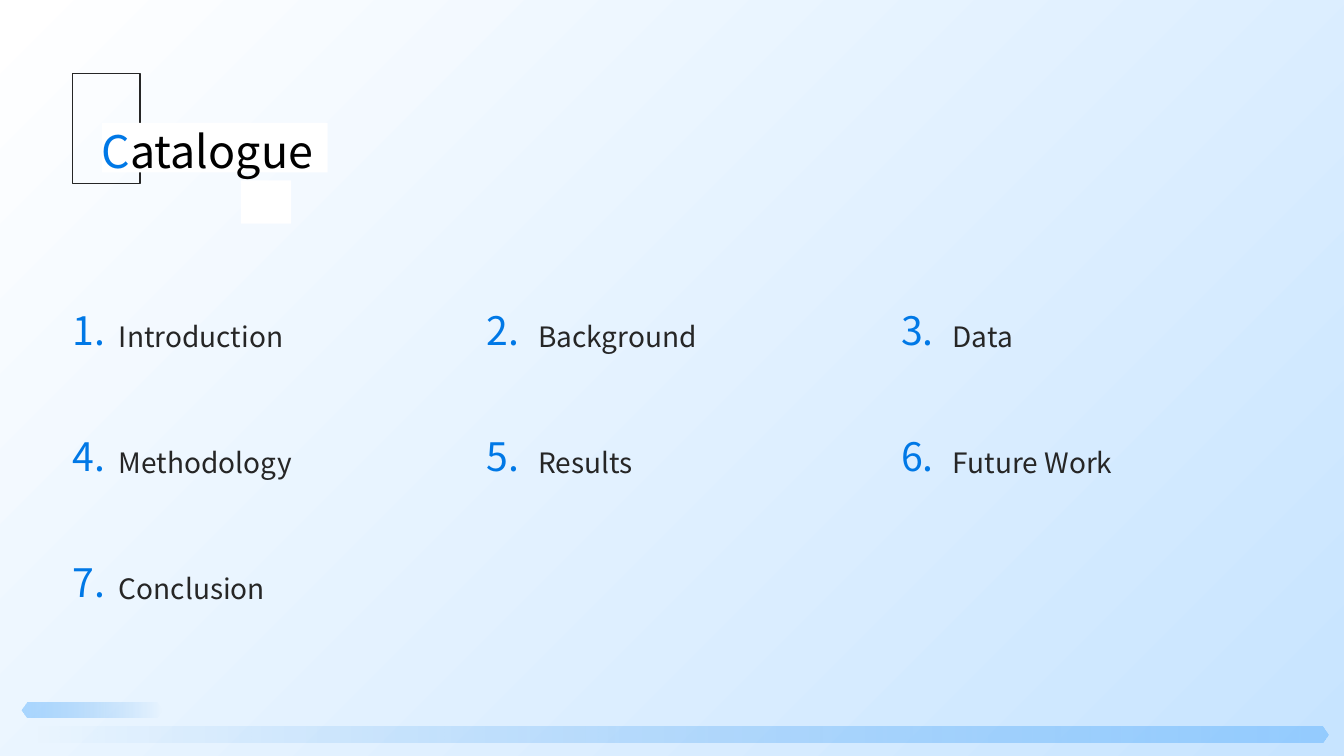
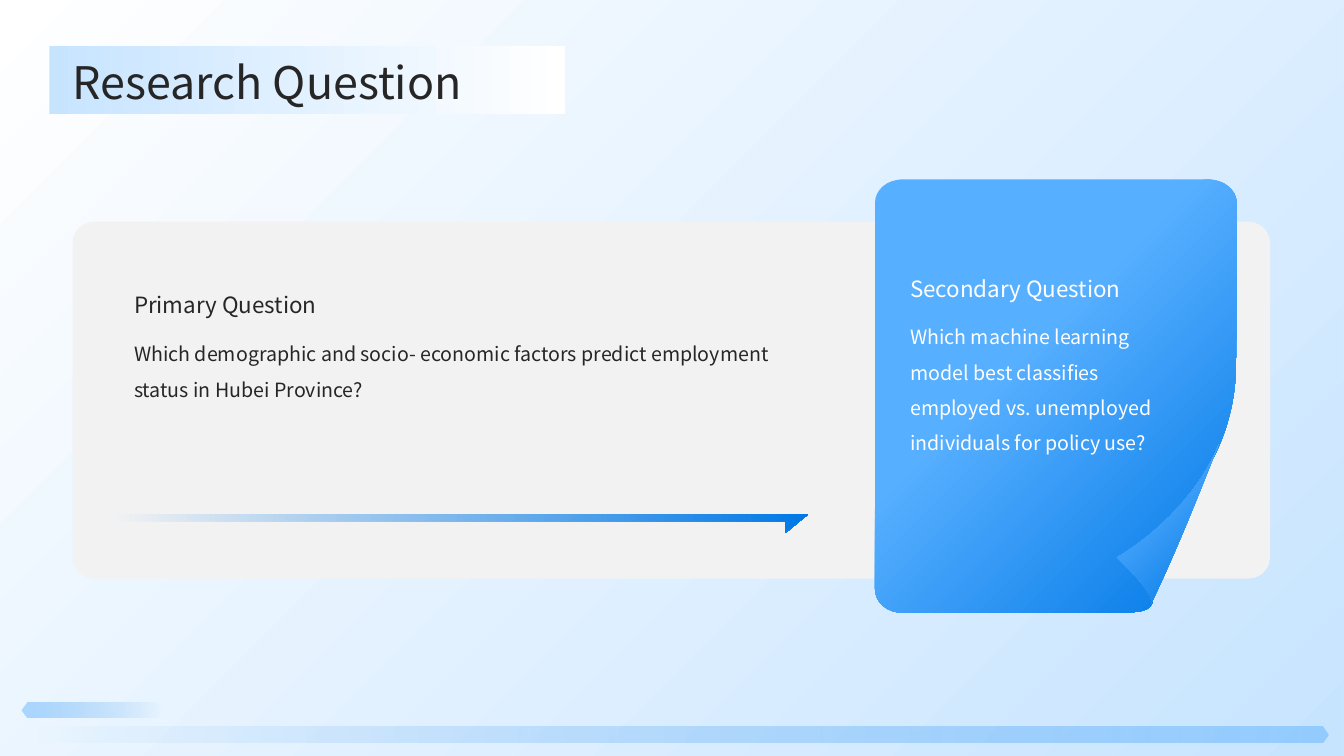
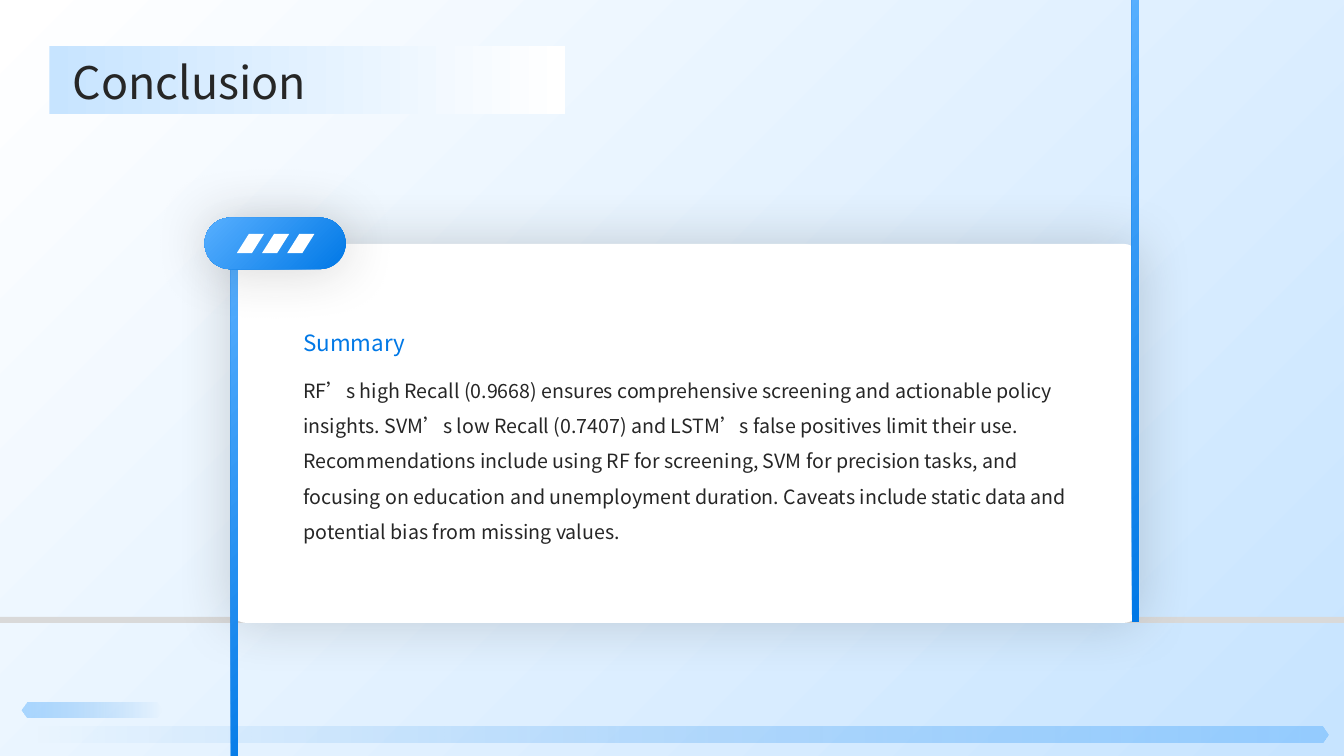
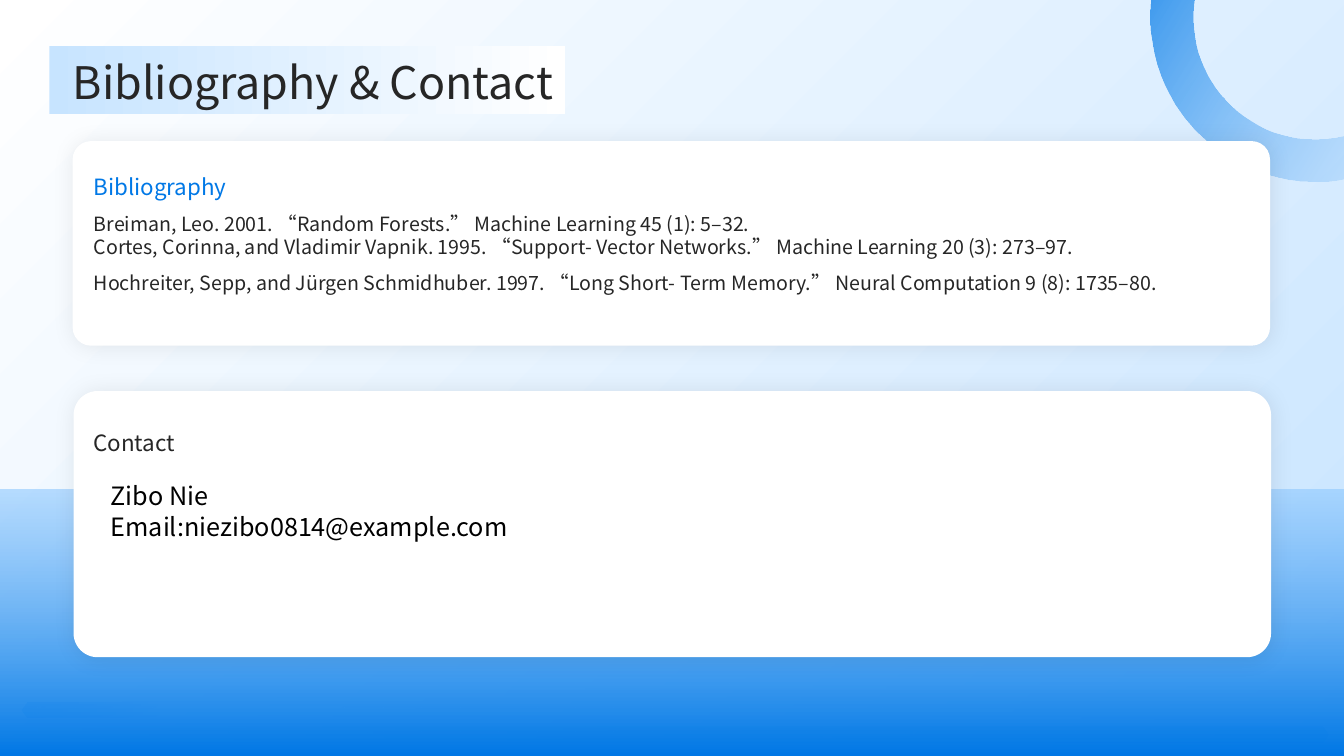
from pptx import Presentation
from pptx.dml.color import RGBColor
from pptx.enum.shapes import MSO_SHAPE
from pptx.enum.text import MSO_ANCHOR, MSO_AUTO_SIZE, PP_ALIGN
from pptx.oxml import parse_xml
from pptx.oxml.ns import nsdecls, qn
from pptx.util import Inches, Pt

PX = 9144
FONT = "Noto Sans CJK SC"
WHITE = RGBColor(0xFF, 0xFF, 0xFF)
BLACK = RGBColor(0x00, 0x00, 0x00)
INK = RGBColor(0x26, 0x26, 0x26)
BLUE = RGBColor(0x00, 0x78, 0xE6)
SKY = RGBColor(0x57, 0xAF, 0xFF)
LIGHT = RGBColor(0x8F, 0xC9, 0xFF)
PALE = RGBColor(0xC7, 0xE4, 0xFF)
PANEL = RGBColor(0xF2, 0xF2, 0xF2)
RULE = RGBColor(0xD9, 0xD9, 0xD9)
TITLE_ONLY, TITLE_AND_BODY = 5, 1


def emu(*lengths):
    """Turn px lengths into EMU."""
    return [n * PX for n in lengths]


def color_xml(color, alpha):
    """Return a colour element with its opacity in percent."""
    return f'<a:srgbClr val="{color}"><a:alpha val="{alpha * 1000}"/></a:srgbClr>'


def gradient(angle, *stops):
    """Return a linear gradient; each stop is (position, colour, opacity)."""
    gs = "".join(f'<a:gs pos="{pos * 1000}">{color_xml(color, alpha)}</a:gs>'
                 for pos, color, alpha in stops)
    return (f'<a:gradFill {nsdecls("a")} rotWithShape="1"><a:gsLst>{gs}</a:gsLst>'
            f'<a:lin ang="{angle * 60000}" scaled="0"/></a:gradFill>')


def write(tf, *paragraphs, size=14, color=INK, spacing=1.0, anchor=MSO_ANCHOR.TOP,
          inset=(0, 0), grow=False):
    """Fill a text frame; a paragraph is a string or a list of (text, colour)."""
    tf.word_wrap = True
    tf.auto_size = MSO_AUTO_SIZE.SHAPE_TO_FIT_TEXT if grow else MSO_AUTO_SIZE.NONE
    tf.vertical_anchor = anchor
    tf.margin_left = tf.margin_right = inset[0] * PX
    tf.margin_top = tf.margin_bottom = inset[1] * PX
    for i, runs in enumerate(paragraphs):
        p = tf.add_paragraph() if i else tf.paragraphs[0]
        p.alignment = PP_ALIGN.LEFT
        p.line_spacing = spacing[i] if isinstance(spacing, tuple) else spacing
        p.space_before = Pt(0)
        for text, run_color in [(runs, color)] if isinstance(runs, str) else runs:
            r = p.add_run()
            r.text = text
            r.font.size = Pt(size)
            r.font.name = FONT
            r.font.color.rgb = run_color
            r.font.bold = False
            r.font._element.append(parse_xml(f'<a:ea {nsdecls("a")} typeface="{FONT}"/>'))


class Deck:
    """Hold the presentation, its style and the current slide."""

    def __init__(self):
        """Start an empty widescreen presentation."""
        self.prs = Presentation()
        self.prs.slide_width, self.prs.slide_height = Inches(40) // 3, Inches(7.5)
        self.s = None

    def slide(self, layout=TITLE_AND_BODY):
        """Add a slide with the shared backdrop and footer bars."""
        self.s = self.prs.slides.add_slide(self.prs.slide_layouts[layout])
        self.shape(0, 0, 1333, 750, gradient(45, (0, WHITE, 100), (100, PALE, 100)))
        for x, y, w, h, angle in ((21, 721, 1297, 16, 0), (21, 697, 140, 15, 180)):
            self.shape(x, y, w, h, gradient(angle, (0, BLUE, 0), (100, SKY, 46)),
                       MSO_SHAPE.HEXAGON, adj=0.38)

    def paint(self, sp, fill=None, line=None, shadow=None):
        """Set fill, outline and shadow of a shape."""
        sp.shadow.inherit = False
        sp.fill.background()
        if isinstance(fill, RGBColor):
            sp.fill.solid()
            sp.fill.fore_color.rgb = fill
        elif fill:
            spPr = sp.element.spPr
            spPr.replace(spPr.find(qn("a:noFill")), parse_xml(fill))
        if line:
            sp.line.color.rgb = line
            sp.line.width = Pt(1)
        else:
            sp.line.fill.background()
        if shadow:
            color, alpha, blur = shadow
            sp.element.spPr.find(qn("a:effectLst")).append(parse_xml(
                f'<a:outerShdw {nsdecls("a")} blurRad="{Pt(blur)}" dist="0" dir="0" '
                f'algn="ctr" rotWithShape="0">{color_xml(color, alpha)}</a:outerShdw>'))

    def shape(self, x, y, w, h, fill=None, kind=MSO_SHAPE.RECTANGLE, adj=None,
              rotation=0, line=None, shadow=None):
        """Add a preset shape."""
        sp = self.s.shapes.add_shape(kind, *emu(x, y, w, h))
        if adj is not None:
            sp.adjustments[0] = adj
        sp.rotation = rotation
        self.paint(sp, fill, line, shadow)

    def freeform(self, fill, *outlines):
        """Add closed outlines; a step is a line (2 numbers) or a curve (6)."""
        builder = self.s.shapes.build_freeform(*emu(*outlines[0][0]))
        for i, (start, *steps) in enumerate(outlines):
            if i:
                builder.move_to(*emu(*start))
            builder.add_line_segments([emu(*step[-2:]) for step in steps], close=True)
        sp = builder.convert_to_shape()
        steps = [step for contour in outlines for step in contour[1:]]
        for line_to, step in zip(list(sp.element.iter(qn("a:lnTo"))), steps):
            if len(step) == 6:
                points = "".join(f'<a:pt x="{x * PX - sp.left}" y="{y * PX - sp.top}"/>'
                                 for x, y in zip(step[::2], step[1::2]))
                line_to.getparent().replace(line_to, parse_xml(
                    f'<a:cubicBezTo {nsdecls("a")}>{points}</a:cubicBezTo>'))
        self.paint(sp, fill)

    def text(self, x, y, w, h, *paragraphs, **fmt):
        """Add a text box."""
        write(self.s.shapes.add_textbox(*emu(x, y, w, h)).text_frame, *paragraphs, **fmt)

    def place(self, sp, x, y, w, h):
        """Move a placeholder to its box, in front of what is drawn so far."""
        sp.left, sp.top, sp.width, sp.height = emu(x, y, w, h)
        sp.element.getparent().append(sp.element)

    def title(self, x, y, w, h, runs):
        """Place and fill the title placeholder."""
        sp = self.s.shapes.title
        self.place(sp, x, y, w, h)
        write(sp.text_frame, runs, size=32, spacing=1.1, anchor=MSO_ANCHOR.MIDDLE)
        return sp

    def heading(self, text):
        """Add the title over its fading band."""
        self.shape(49, 46, 512, 67, gradient(0, (0, PALE, 100), (100, WHITE, 100)))
        self.title(72, 53, 1188, 51, text)

    def body(self, x, y, w, h, *paragraphs, **fmt):
        """Place and fill the body placeholder without bullets."""
        sp = self.s.placeholders[1]
        self.place(sp, x, y, w, h)
        write(sp.text_frame, *paragraphs, **fmt)
        for p in sp.text_frame.paragraphs:
            pPr = p._p.get_or_add_pPr()
            pPr.set("marL", "0")
            pPr.set("indent", "0")
            pPr.append(parse_xml(f'<a:buNone {nsdecls("a")}/>'))


def catalogue(deck):
    """Build the table of contents."""
    deck.slide(TITLE_ONLY)
    deck.shape(72, 73, 67, 109, line=INK)
    deck.shape(239, 179, 50, 43, WHITE)
    sp = deck.title(101, 122, 224, 49, [("C", BLUE), ("atalogue", BLACK)])
    deck.paint(sp, WHITE)
    topics = ("Introduction", "Background", "Data", "Methodology", "Results",
              "Future Work", "Conclusion")
    for i, topic in enumerate(topics):
        row, col = divmod(i, 3)
        x, y = 72 + 411 * col, 303 + 125 * row
        deck.text(x, y, 43, 43, f"{i + 1}.", size=28, color=BLUE, spacing=1.1,
                  anchor=MSO_ANCHOR.MIDDLE, grow=True)
        deck.text(x + (51 if col else 46), y + 4, 315, 98, topic, size=20, spacing=1.3)


def research_question(deck):
    """Build the two research questions."""
    deck.slide()
    deck.shape(72, 220, 1188, 354, PANEL, MSO_SHAPE.ROUNDED_RECTANGLE, adj=0.06)
    deck.freeform(
        gradient(45, (40, SKY, 100), (100, BLUE, 100)),
        ((1131, 539), (1120, 547, 1119, 561, 1128, 571),
         (1137, 582, 1146, 594, 1143, 599), (1138, 608, 1130, 608, 1082, 608),
         (896, 608), (880, 608, 868, 598, 868, 584), (868, 202),
         (868, 188, 880, 178, 896, 178), (1198, 178),
         (1214, 178, 1227, 188, 1227, 202), (1227, 241, 1227, 320, 1226, 366),
         (1226, 384, 1222, 405, 1219, 415), (1203, 476, 1158, 518, 1131, 539)))
    deck.freeform(
        gradient(45, (20, SKY, 100), (100, BLUE, 100)),
        ((1108, 553), (1108, 553, 1147, 589, 1142, 599),
         (1163, 555, 1179, 517, 1209, 441), (1179, 514, 1108, 553, 1108, 553)))
    deck.freeform(
        gradient(0, (0, PANEL, 100), (100, BLUE, 100)),
        ((802, 510), (111, 510), (111, 517), (779, 517), (779, 529)))
    deck.text(133, 276, 669, 40, "Primary Question", size=16, spacing=1.2,
              anchor=MSO_ANCHOR.BOTTOM)
    deck.body(133, 328, 669, 148, "Which demographic and socio- economic factors predict "
              "employment status in Hubei Province?", spacing=1.5)
    deck.text(903, 203, 276, 97, "Secondary Question", size=16, color=WHITE, spacing=1.2,
              anchor=MSO_ANCHOR.BOTTOM)
    deck.text(903, 311, 276, 167, "Which machine learning model best classifies employed "
              "vs. unemployed individuals for policy use?", color=WHITE, spacing=1.5)
    deck.heading("Research Question")


def conclusion(deck):
    """Build the summary card."""
    rising = gradient(225, (0, BLUE, 100), (100, SKY, 100))
    glow = (INK, 20, 40)
    deck.slide()
    deck.shape(-54, 612, 1441, 6, RULE)
    deck.shape(229, 242, 901, 376, WHITE, MSO_SHAPE.ROUNDED_RECTANGLE, adj=0.04, shadow=glow)
    deck.text(301, 268, 787, 85, "Summary", size=16, color=BLUE, spacing=1.3,
              anchor=MSO_ANCHOR.BOTTOM)
    deck.body(301, 364, 787, 210, "RF’s high Recall (0.9668) ensures comprehensive screening "
              "and actionable policy insights. SVM’s low Recall (0.7407) and LSTM’s false "
              "positives limit their use. Recommendations include using RF for screening, "
              "SVM for precision tasks, and focusing on education and unemployment duration. "
              "Caveats include static data and potential bias from missing values.",
              spacing=1.5)
    deck.shape(229, 242, 7, 567, rising)
    deck.shape(203, 216, 140, 51, rising, MSO_SHAPE.ROUNDED_RECTANGLE, adj=0.5, shadow=glow)
    deck.freeform(WHITE, *(((x + 12, 232), (x + 27, 232), (x + 15, 251), (x, 251))
                           for x in (235, 260, 285)))
    deck.shape(1123, -7, 7, 624, rising)
    deck.heading("Conclusion")


def bibliography(deck):
    """Build the references and the contact card."""
    deck.slide()
    deck.shape(1141, -147, 327, 327, gradient(315, (0, LIGHT, 0), (100, BLUE, 100)),
               MSO_SHAPE.DONUT, adj=0.13, rotation=256.7)
    deck.shape(0, 486, 1333, 264, gradient(90, (0, LIGHT, 61), (100, BLUE, 100)))
    for x, y, h in ((72, 140, 203), (73, 388, 264)):
        deck.shape(x, y, 1188, h, WHITE, MSO_SHAPE.ROUNDED_RECTANGLE, adj=0.09,
                   shadow=(BLACK, 8, 15))
    inset = (10, 5)
    deck.text(83, 164, 1135, 41, "Bibliography", size=16, color=BLUE, spacing=1.1, inset=inset)
    deck.body(
        83, 205, 1135, 122,
        "Breiman, Leo. 2001. “Random Forests.” Machine Learning 45 (1): 5–32.",
        "Cortes, Corinna, and Vladimir Vapnik. 1995. “Support- Vector Networks.” "
        "Machine Learning 20 (3): 273–97.",
        "Hochreiter, Sepp, and Jürgen Schmidhuber. 1997. “Long Short- Term Memory.” "
        "Neural Computation 9 (8): 1735–80.",
        spacing=(1.0, 1.0, 1.5), inset=inset)
    deck.text(83, 418, 1147, 36, "Contact", size=16, spacing=1.1, inset=inset)
    deck.heading("Bibliography & Contact")
    deck.text(100, 472, 429, 71, "Zibo Nie", "Email:niezibo0814@example.com", size=18,
              color=BLACK, inset=inset, grow=True)


def main():
    """Build and save the slides."""
    deck = Deck()
    for build in (catalogue, research_question, conclusion, bibliography):
        build(deck)
    deck.prs.save("out.pptx")


if __name__ == "__main__":
    main()
